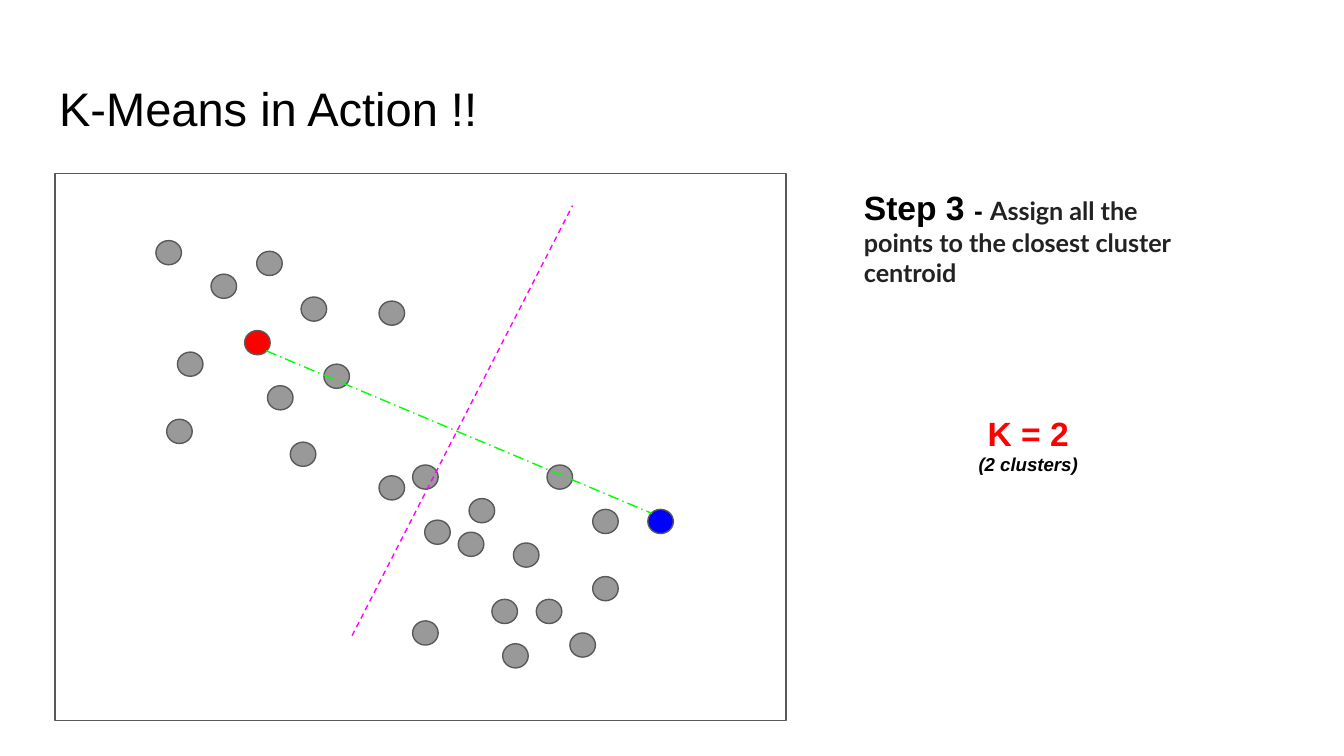
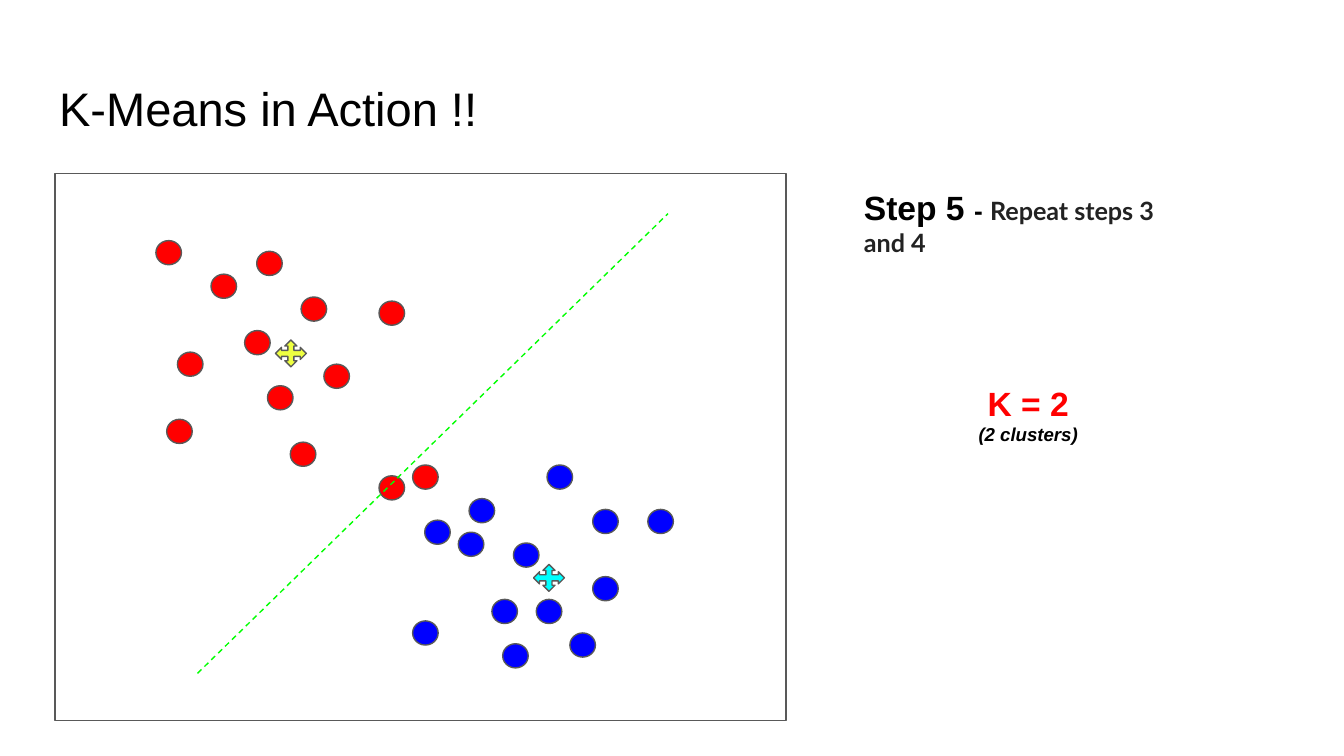
from typing import NamedTuple

from lxml import etree
from pptx import Presentation
from pptx.dml.color import RGBColor
from pptx.enum.dml import MSO_LINE
from pptx.enum.shapes import MSO_CONNECTOR, MSO_SHAPE
from pptx.enum.text import MSO_ANCHOR, MSO_AUTO_SIZE, PP_ALIGN
from pptx.oxml.ns import qn
from pptx.util import Inches, Pt

ELLIPSE = MSO_SHAPE.OVAL
RECTANGLE = MSO_SHAPE.RECTANGLE
QUAD_ARROW = MSO_SHAPE.QUAD_ARROW
STRAIGHT = MSO_CONNECTOR.STRAIGHT
DASH = MSO_LINE.DASH
LONG_DASH_DOT = MSO_LINE.LONG_DASH_DOT
LEFT = PP_ALIGN.LEFT
CENTER = PP_ALIGN.CENTER
TOP = MSO_ANCHOR.TOP
NO_AUTOFIT = MSO_AUTO_SIZE.NONE

BLACK = RGBColor(0x00, 0x00, 0x00)
CHARCOAL = RGBColor(0x22, 0x22, 0x22)
OUTLINE = RGBColor(0x59, 0x59, 0x59)
GRAY = RGBColor(0x99, 0x99, 0x99)
RED = RGBColor(0xFF, 0x00, 0x00)
BLUE = RGBColor(0x00, 0x00, 0xFF)
GREEN = RGBColor(0x00, 0xFF, 0x00)
MAGENTA = RGBColor(0xFF, 0x00, 0xFF)
YELLOW = RGBColor(0xEE, 0xFF, 0x41)
CYAN = RGBColor(0x00, 0xFF, 0xFF)

HEADING_FONT = "Arial"
BODY_FONT = "Lato"
TITLE = "K-Means in Action !!"
TITLE_ONLY_LAYOUT = 5
SLIDE_WIDTH = Inches(10)
SLIDE_HEIGHT = SLIDE_WIDTH * 9 // 16
LINE_WIDTH = Pt(0.75)
INSET = Inches(0.1)
POINT_SIZE = (0.19, 0.18)
CENTROID_SIZE = (0.23, 0.2)

RED_SEED = (1.82, 2.46)
BLUE_SEED = (4.82, 3.79)
RED_CLUSTER = [
    (1.16, 1.79), (1.32, 2.62), (1.57, 2.04), (2.24, 2.21), RED_SEED,
    (1.99, 2.87), (2.41, 2.71), (1.91, 1.87), (1.24, 3.12), (2.16, 3.29),
    (2.82, 3.54), (3.07, 3.46), (2.82, 2.24),
]
BLUE_CLUSTER = [
    (3.16, 3.87), (3.41, 3.96), (3.49, 3.71), (3.82, 4.04), (3.66, 4.46),
    (3.07, 4.62), (3.74, 4.79), (3.99, 4.46), (4.24, 4.71), (4.41, 4.29),
    BLUE_SEED, (4.41, 3.79), (4.07, 3.46),
]


class Divider(NamedTuple):
    start: tuple[float, float]
    end: tuple[float, float]
    color: RGBColor
    dash: MSO_LINE


class Centroid(NamedTuple):
    position: tuple[float, float]
    color: RGBColor


class Step(NamedTuple):
    label: str
    instruction: str
    note_height: float
    point_colors: dict[tuple[float, float], RGBColor]
    centroids: list[Centroid]
    dividers: list[Divider]


STEPS = [
    Step(
        "Step 3 ",
        "Assign all the points to the closest cluster centroid",
        2.37,
        {point: GRAY for point in RED_CLUSTER + BLUE_CLUSTER}
        | {RED_SEED: RED, BLUE_SEED: BLUE},
        [],
        [
            Divider((1.98, 2.61), (4.85, 3.82), GREEN, LONG_DASH_DOT),
            Divider((2.62, 4.73), (4.26, 1.53), MAGENTA, DASH),
        ],
    ),
    Step(
        "Step 5 ",
        "Repeat steps 3 and 4",
        2.15,
        {point: RED for point in RED_CLUSTER}
        | {point: BLUE for point in BLUE_CLUSTER},
        [Centroid((2.05, 2.53), YELLOW), Centroid((3.97, 4.2), CYAN)],
        [Divider((1.47, 5.01), (4.97, 1.59), GREEN, DASH)],
    ),
]


def set_frame(frame) -> None:
    frame.word_wrap = True
    frame.auto_size = NO_AUTOFIT
    frame.vertical_anchor = TOP
    frame.margin_left = frame.margin_right = INSET
    frame.margin_top = frame.margin_bottom = INSET


def style_run(run, size: float, color: RGBColor, font: str = HEADING_FONT,
              bold: bool = True, italic: bool = False) -> None:
    run.font.name = font
    run.font.size = Pt(size)
    run.font.bold = bold
    run.font.italic = italic
    run.font.color.rgb = color


def draw_title(slide) -> None:
    title = slide.shapes.title
    title.left, title.top = Inches(0.34), Inches(0.49)
    title.width, title.height = Inches(9.32), Inches(0.63)
    set_frame(title.text_frame)
    title.text_frame.text = TITLE
    heading = title.text_frame.paragraphs[0]
    heading.alignment = LEFT
    style_run(heading.runs[0], 25.2, BLACK, bold=False)


def draw_shape(slide, kind: MSO_SHAPE, position: tuple[float, float],
               size: tuple[float, float], fill: RGBColor | None = None):
    shape = slide.shapes.add_shape(
        kind, *(Inches(length) for length in position + size))
    shape.shadow.inherit = False
    shape.line.color.rgb = OUTLINE
    shape.line.width = LINE_WIDTH
    if fill is None:
        shape.fill.background()
    else:
        shape.fill.solid()
        shape.fill.fore_color.rgb = fill
    return shape


def draw_centroid(slide, centroid: Centroid) -> None:
    marker = draw_shape(slide, QUAD_ARROW, centroid.position, CENTROID_SIZE,
                        centroid.color)
    for index in range(3):
        marker.adjustments[index] = 0.225


def draw_divider(slide, divider: Divider) -> None:
    connector = slide.shapes.add_connector(
        STRAIGHT,
        *(Inches(length) for length in divider.start + divider.end))
    connector.line.color.rgb = divider.color
    connector.line.width = LINE_WIDTH
    connector.line.dash_style = divider.dash
    etree.SubElement(connector._element.spPr, qn("a:effectLst"))


def draw_note(slide, step: Step) -> None:
    note = slide.shapes.add_textbox(
        Inches(6.33), Inches(1.29), Inches(2.64), Inches(step.note_height))
    frame = note.text_frame
    set_frame(frame)

    frame.text = step.label
    instruction = frame.paragraphs[0]
    style_run(instruction.runs[0], 18, BLACK)
    dash = instruction.add_run()
    dash.text = "- "
    style_run(dash, 14, BLACK)
    detail = instruction.add_run()
    detail.text = step.instruction
    style_run(detail, 13.5, CHARCOAL, BODY_FONT)

    cluster_count = frame.add_paragraph()
    cluster_count.text = "K = 2"
    cluster_count.alignment = CENTER
    cluster_count.space_before = Pt(67)
    style_run(cluster_count.runs[0], 18, RED)

    explanation = frame.add_paragraph()
    explanation.text = "(2 clusters)"
    explanation.alignment = CENTER
    style_run(explanation.runs[0], 10, BLACK, italic=True)


def draw_step(presentation, step: Step) -> None:
    layout = presentation.slide_layouts[TITLE_ONLY_LAYOUT]
    slide = presentation.slides.add_slide(layout)
    draw_shape(slide, RECTANGLE, (0.41, 1.29), (5.44, 4.07))
    draw_title(slide)
    for position, color in step.point_colors.items():
        draw_shape(slide, ELLIPSE, position, POINT_SIZE, color)
    draw_note(slide, step)
    for centroid in step.centroids:
        draw_centroid(slide, centroid)
    for divider in step.dividers:
        draw_divider(slide, divider)


def main() -> None:
    presentation = Presentation()
    presentation.slide_width = SLIDE_WIDTH
    presentation.slide_height = SLIDE_HEIGHT
    for step in STEPS:
        draw_step(presentation, step)
    presentation.save("out.pptx")


if __name__ == "__main__":
    main()
